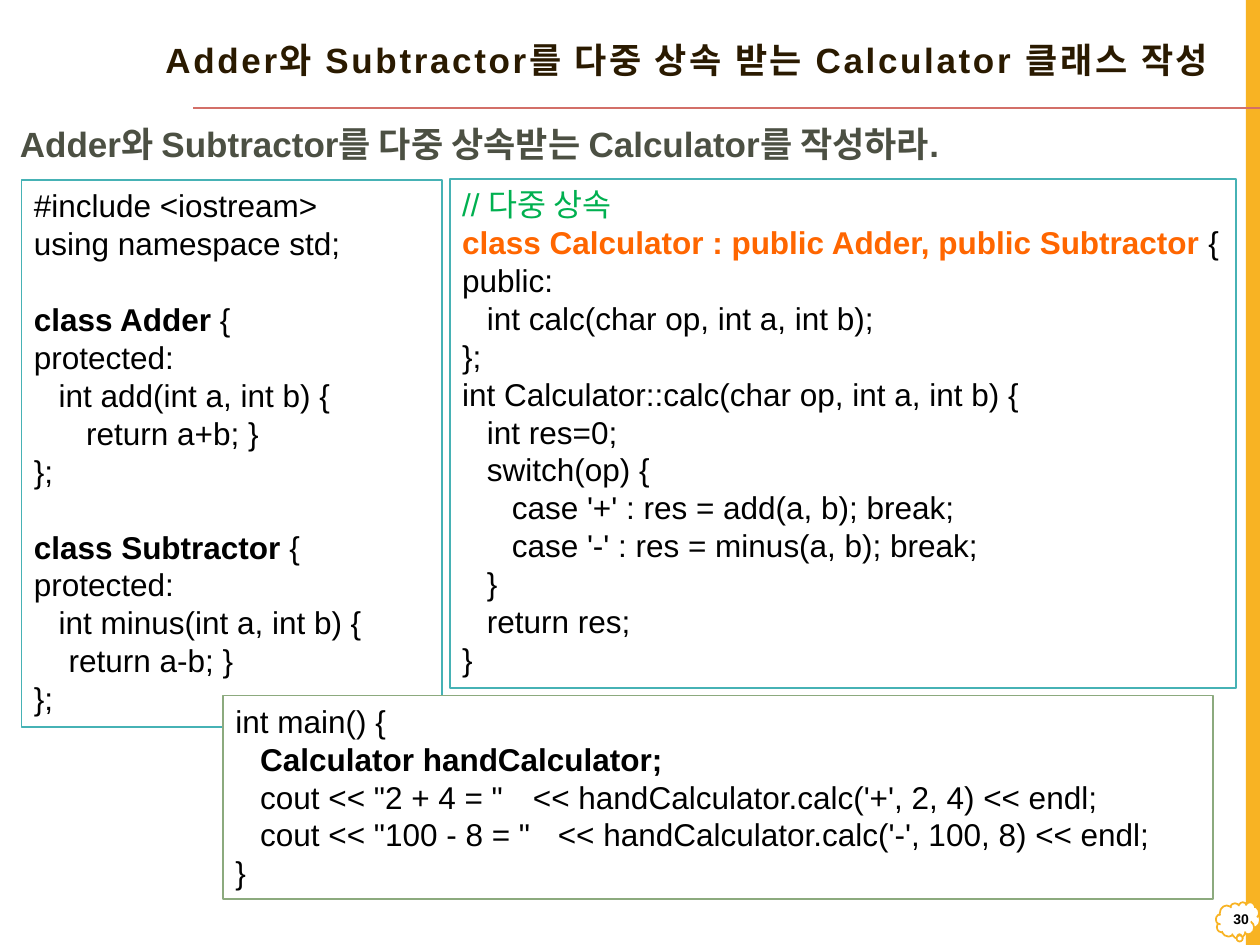
"""Build a slide showing a Calculator class that inherits from both Adder and Subtractor."""
import pptx
import pptx.dml.color
import pptx.enum.shapes
import pptx.enum.text
import pptx.oxml.ns
import pptx.util
from lxml import etree

Pt = pptx.util.Pt
SHAPE = pptx.enum.shapes.MSO_SHAPE
ALIGN = pptx.enum.text.PP_ALIGN
MIDDLE = pptx.enum.text.MSO_ANCHOR.MIDDLE
qn = pptx.oxml.ns.qn
COLORS = {
    "white": "FFFFFF", "black": "000000", "amber": "F8B323", "rule": "D36F68",
    "title": "2A1A00", "task": "4C5043", "teal": "46B2B5", "sage": "8CAA7E",
    "comment": "00B050", "highlight": "FF6600",
}
TAB_STEP = 14.17

CLASSES_CODE = """#include <iostream>
using namespace std;

**class Adder **{
protected:
\tint add(int a, int b) {
      return a+b; }
};

**class Subtractor **{
protected:
\tint minus(int a, int b) {
    return a-b; }
};"""
MAIN_CODE = """int main() {
\t**Calculator handCalculator;**
\tcout << "2 + 4 = " \t<< handCalculator.calc('+', 2, 4) << endl;
\tcout << "100 - 8 = " \t<< handCalculator.calc('-', 100, 8) << endl;
}"""
CALCULATOR_CODE = """// 다중 상속
**class Calculator : public Adder, public Subtractor **{
public:
\tint calc(char op, int a, int b);
};
int Calculator::calc(char op, int a, int b) {
\tint res=0;
\tswitch(op) {
\t\tcase '+' : res = add(a, b); break;
\t\tcase '-' : res = minus(a, b); break;
\t}
\treturn res;
}"""
PANELS = [
    (CLASSES_CODE, (12.24, 102.96, 240.48, 312.5), "teal", "black"),
    (MAIN_CODE, (127.44, 397.44, 565.92, 116.5), "sage", "black"),
    (CALCULATOR_CODE, (257.04, 102.24, 449.28, 291), "teal", "highlight"),
]


def style(font, size, color, bold):
    font.name = "Arial"
    font.size = Pt(size)
    font.bold = bold
    font.color.rgb = pptx.dml.color.RGBColor.from_string(COLORS[color])


def add_block(kind, box, fill, line):
    block = slide.shapes.add_shape(kind, *map(Pt, box))
    block.shadow.inherit = False
    block.fill.solid()
    block.fill.fore_color.rgb = pptx.dml.color.RGBColor.from_string(COLORS[fill])
    if line:
        block.line.color.rgb = pptx.dml.color.RGBColor.from_string(COLORS[line])
        block.line.width = Pt(1)
    else:
        block.line.fill.background()
    return block


deck = pptx.Presentation()
deck.slide_width, deck.slide_height = Pt(720), Pt(540)
slide = deck.slides.add_slide(deck.slide_layouts[5])

add_block(SHAPE.RECTANGLE, (712, 0, 8, 540), "amber", None)
cloud = add_block(SHAPE.CLOUD_CALLOUT, (694.8, 515.52, 25.2, 20.88), "white", "amber")
cloud.adjustments[0], cloud.adjustments[1] = 0.034, 0.431

rule = slide.shapes.add_connector(
    pptx.enum.shapes.MSO_CONNECTOR.STRAIGHT, Pt(720), Pt(61.92), Pt(110.16), Pt(61.92))
rule.line.color.rgb = pptx.dml.color.RGBColor.from_string(COLORS["rule"])
rule.line.width = Pt(1)
etree.SubElement(rule._element.spPr, qn("a:effectLst"))

title = slide.shapes.title
title.left, title.top, title.width, title.height = map(Pt, (42.48, 9.36, 655.2, 52.56))
title.text_frame.text = "Adder와 Subtractor를 다중 상속 받는 Calculator 클래스 작성"
title.text_frame.vertical_anchor = MIDDLE
heading = title.text_frame.paragraphs[0]
heading.alignment = ALIGN.RIGHT
heading.line_spacing = 0.9
style(heading.runs[0].font, 20, "title", True)
heading.runs[0].font._element.set("spc", "150")

LABELS = [
    ("30", (695.52, 512.64, 25.2, 25.2), 8, "black", ALIGN.RIGHT, MIDDLE),
    ("Adder와 Subtractor를 다중 상속받는 Calculator를 작성하라.",
     (4.32, 66.24, 642.96, 31.68), 20, "task", ALIGN.LEFT, pptx.enum.text.MSO_ANCHOR.TOP),
]
for wording, box, size, color, alignment, anchor in LABELS:
    frame = slide.shapes.add_textbox(*map(Pt, box)).text_frame
    frame.word_wrap = True
    frame.vertical_anchor = anchor
    frame.text = wording
    frame.paragraphs[0].alignment = alignment
    style(frame.paragraphs[0].runs[0].font, size, color, True)

for code, box, border, emphasis in PANELS:
    frame = add_block(SHAPE.RECTANGLE, box, "white", border).text_frame
    frame.word_wrap = True
    frame.vertical_anchor = pptx.enum.text.MSO_ANCHOR.TOP
    for number, code_line in enumerate(code.split("\n")):
        paragraph = frame.add_paragraph() if number else frame.paragraphs[0]
        paragraph.alignment = ALIGN.LEFT
        paragraph.line_spacing = Pt(21.65)
        tabs = etree.SubElement(paragraph._p.get_or_add_pPr(), qn("a:tabLst"))
        for stop in range(1, 14):
            etree.SubElement(tabs, qn("a:tab"), pos=str(Pt(TAB_STEP * stop)), algn="l")
        style(paragraph.font, 18, "black", False)
        base = "comment" if code_line.startswith("//") else "black"
        for position, part in enumerate(code_line.split("**")):
            if part:
                bold = position % 2 == 1
                run = paragraph.add_run()
                run.text = part
                style(run.font, 18, emphasis if bold else base, bold)

deck.save("out.pptx")
